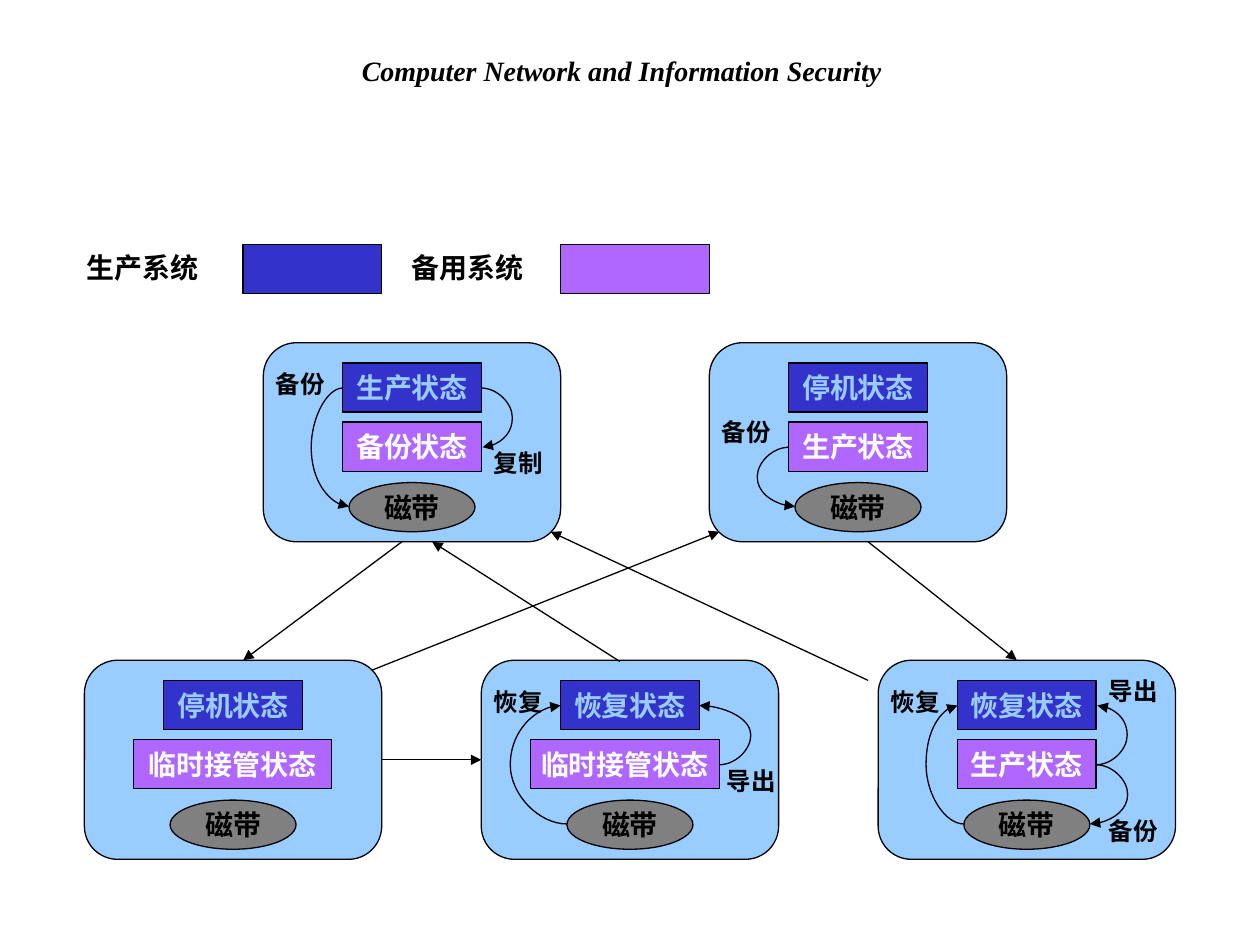
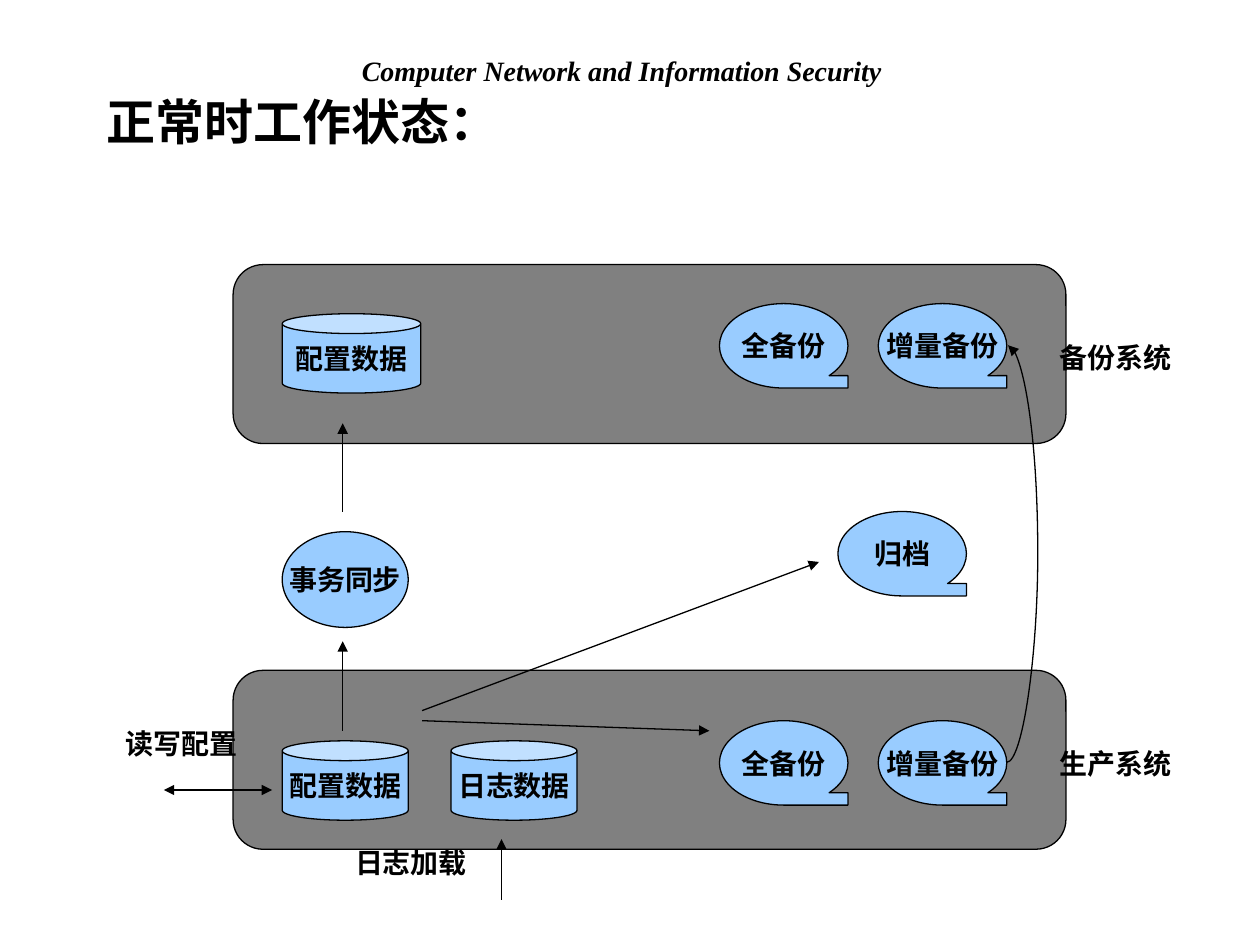
from dataclasses import dataclass
from typing import NamedTuple, Optional

import lxml.etree
import pptx
import pptx.dml.color
import pptx.enum.shapes
import pptx.enum.text
import pptx.oxml.ns
import pptx.shapes.autoshape
import pptx.shapes.connector
import pptx.slide
import pptx.util

Inches = pptx.util.Inches
RGBColor = pptx.dml.color.RGBColor
SHAPE = pptx.enum.shapes.MSO_SHAPE
CONNECTOR = pptx.enum.shapes.MSO_CONNECTOR
ALIGN = pptx.enum.text.PP_ALIGN
qn = pptx.oxml.ns.qn

BLACK = RGBColor(0x00, 0x00, 0x00)
WHITE = RGBColor(0xFF, 0xFF, 0xFF)
SKY = RGBColor(0x99, 0xCC, 0xFF)
NAVY = RGBColor(0x33, 0x33, 0xCC)
VIOLET = RGBColor(0xAF, 0x67, 0xFF)
GRAY = RGBColor(0x80, 0x80, 0x80)

BODY_FONT = "Arial"
HEADER_FONT = "Times New Roman"
HEADER = "Computer Network and Information Security"
LINE_WIDTH = pptx.util.Pt(0.75)


class Point(NamedTuple):
    x: float
    y: float


class Box(NamedTuple):
    left: float
    top: float
    width: float
    height: float


class Label(NamedTuple):
    text: str
    left: float
    top: float


class Arrow(NamedTuple):
    start: Point
    end: Point
    both_ends: bool = False


class Curve(NamedTuple):
    """An arrow that bows out to the vertical line x = bend."""
    start: Point
    end: Point
    bend: float


class Node(NamedTuple):
    kind: SHAPE
    box: Box
    text: str = ""
    fill: RGBColor = SKY
    color: RGBColor = BLACK


@dataclass(frozen=True)
class StateCard:
    """One combined system state; curves and labels are relative to its corner."""
    left: float
    top: float
    production: str
    standby: str
    standby_left: float = 0.63
    standby_width: float = 1.1
    curves: tuple[Curve, ...] = ()
    labels: tuple[Label, ...] = ()


CARD_WIDTH, CARD_HEIGHT = 2.36, 1.58
NODE_HEIGHT = 0.39
UPPER_ROW, LOWER_ROW = 2.72, 5.24

# Ports on the sides of the three nodes inside a card
PRODUCTION_LEFT, PRODUCTION_RIGHT = Point(0.63, 0.36), Point(1.73, 0.36)
STANDBY_LEFT, STANDBY_RIGHT = Point(0.63, 0.83), Point(1.73, 0.83)
WIDE_STANDBY_RIGHT = Point(1.89, 0.83)
TAPE_LEFT, TAPE_RIGHT = Point(0.68, 1.3), Point(1.68, 1.3)

CARDS = (
    StateCard(2.09, UPPER_ROW, "生产状态", "备份状态",
              curves=(Curve(PRODUCTION_RIGHT, STANDBY_RIGHT, 1.98),
                      Curve(PRODUCTION_LEFT, TAPE_LEFT, 0.38)),
              labels=(Label("复制", 1.73, 0.79), Label("备份", 0, 0.16))),
    StateCard(5.63, UPPER_ROW, "停机状态", "生产状态",
              curves=(Curve(STANDBY_LEFT, TAPE_LEFT, 0.38),),
              labels=(Label("备份", 0, 0.54),)),
    StateCard(0.67, LOWER_ROW, "停机状态", "临时接管状态",
              standby_left=0.39, standby_width=1.57),
    StateCard(3.82, LOWER_ROW, "恢复状态", "临时接管状态",
              standby_left=0.39, standby_width=1.5,
              curves=(Curve(WIDE_STANDBY_RIGHT, PRODUCTION_RIGHT, 2.14),
                      Curve(TAPE_LEFT, PRODUCTION_LEFT, 0.23)),
              labels=(Label("导出", 1.85, 0.79), Label("恢复", 0, 0.16))),
    StateCard(6.97, LOWER_ROW, "恢复状态", "生产状态",
              curves=(Curve(STANDBY_RIGHT, PRODUCTION_RIGHT, 1.98),
                      Curve(TAPE_LEFT, PRODUCTION_LEFT, 0.38),
                      Curve(STANDBY_RIGHT, TAPE_RIGHT, 1.98)),
              labels=(Label("导出", 1.73, 0.08), Label("恢复", 0, 0.16),
                      Label("备份", 1.73, 1.19))),
)

TRANSITIONS = (
    Arrow(Point(3.19, 4.3), Point(1.93, 5.24)),
    Arrow(Point(3.03, 6.03), Point(3.82, 6.03)),
    Arrow(Point(2.95, 5.32), Point(5.71, 4.22)),
    Arrow(Point(6.89, 4.3), Point(8.07, 5.24)),
    Arrow(Point(4.92, 5.25), Point(3.43, 4.3)),
    Arrow(Point(6.89, 5.4), Point(4.37, 4.22)),
)

LEGEND_TOP = 1.94
LEGEND_SWATCHES = (
    Node(SHAPE.RECTANGLE, Box(1.93, LEGEND_TOP, 1.1, NODE_HEIGHT), fill=NAVY),
    Node(SHAPE.RECTANGLE, Box(4.45, LEGEND_TOP, 1.18, NODE_HEIGHT), fill=VIOLET),
)
LEGEND_LABELS = (Label("生产系统", 0.59, LEGEND_TOP),
                 Label("备用系统", 3.17, LEGEND_TOP))


def tape_node(text: str, left: float, top: float) -> Node:
    return Node(SHAPE.FLOWCHART_SEQUENTIAL_ACCESS_STORAGE,
                Box(left, top, 1.02, 0.67), text)


BACKUP_TOP, PRODUCTION_TOP = 2.1, 5.32
SYSTEM_NODES = (
    *(Node(SHAPE.ROUNDED_RECTANGLE, Box(1.85, top, 6.61, 1.42), fill=GRAY)
      for top in (BACKUP_TOP, PRODUCTION_TOP)),
    Node(SHAPE.CAN, Box(2.24, 5.88, 1, 0.63), "配置数据"),
    Node(SHAPE.CAN, Box(3.58, 5.88, 1, 0.63), "日志数据"),
    Node(SHAPE.CAN, Box(2.24, 2.49, 1.1, 0.63), "配置数据"),
    Node(SHAPE.OVAL, Box(2.24, 4.22, 1, 0.76), "事务同步"),
    tape_node("归档", 6.65, 4.06),
    *(tape_node(text, left, top)
      for top in (2.41, 5.72)
      for text, left in (("全备份", 5.71), ("增量备份", 6.97))),
)

DATA_FLOWS = (
    Arrow(Point(1.3, 6.27), Point(2.16, 6.27), both_ends=True),
    Arrow(Point(2.72, 5.8), Point(2.72, 5.09)),
    Arrow(Point(2.72, 4.06), Point(2.72, 3.36)),
    Arrow(Point(3.98, 7.14), Point(3.98, 6.66)),
    Arrow(Point(3.35, 5.64), Point(6.5, 4.46)),
    Arrow(Point(3.35, 5.72), Point(5.63, 5.8)),
)
INCREMENTAL_COPY = Curve(Point(7.99, 6.05), Point(7.99, 2.74), 8.24)

SYSTEM_LABELS = (
    Label("读写配置", 0.9, 5.72),
    Label("日志加载", 2.72, 6.66),
    Label("生产系统", 8.31, 5.88),
    Label("备份系统", 8.31, 2.65),
)


def write_text(tf: pptx.text.text.TextFrame, text: str, *, size: float = 16,
               color: RGBColor = BLACK, font: str = BODY_FONT,
               italic: bool = False, align: ALIGN = ALIGN.LEFT) -> None:
    tf.word_wrap = False
    p = tf.paragraphs[0]
    p.alignment = align
    r = p.add_run()
    r.text = text
    r.font.name = font
    r.font.size = pptx.util.Pt(size)
    r.font.bold = True
    r.font.italic = italic
    r.font.color.rgb = color


def add_text(slide: pptx.slide.Slide, text: str, box: Box, **text_format) -> None:
    sp = slide.shapes.add_textbox(*map(Inches, box))
    write_text(sp.text_frame, text, **text_format)
    sp.text_frame.auto_size = pptx.enum.text.MSO_AUTO_SIZE.SHAPE_TO_FIT_TEXT


def add_label(slide: pptx.slide.Slide, label: Label) -> None:
    add_text(slide, label.text, Box(label.left, label.top, 1.2, 0.4))


def add_node(slide: pptx.slide.Slide, node: Node) -> None:
    sp = slide.shapes.add_shape(node.kind, *map(Inches, node.box))
    sp.shadow.inherit = False
    sp.fill.solid()
    sp.fill.fore_color.rgb = node.fill
    sp.line.color.rgb = BLACK
    sp.line.width = LINE_WIDTH
    if node.text:
        sp.text_frame.vertical_anchor = pptx.enum.text.MSO_ANCHOR.MIDDLE
        write_text(sp.text_frame, node.text, color=node.color, align=ALIGN.CENTER)


def add_connector(slide: pptx.slide.Slide, kind: CONNECTOR, start: Point, end: Point,
                  both_ends: bool = False) -> pptx.shapes.connector.Connector:
    cxn = slide.shapes.add_connector(kind, *map(Inches, (*start, *end)))
    cxn.line.color.rgb = BLACK
    cxn.line.width = LINE_WIDTH
    ln = cxn.line._get_or_add_ln()
    for tag in ("a:headEnd", "a:tailEnd") if both_ends else ("a:tailEnd",):
        lxml.etree.SubElement(ln, qn(tag), type="triangle")
    lxml.etree.SubElement(cxn._element.spPr, qn("a:effectLst"))
    return cxn


def add_arrow(slide: pptx.slide.Slide, arrow: Arrow) -> None:
    add_connector(slide, CONNECTOR.STRAIGHT, *arrow)


def add_curve(slide: pptx.slide.Slide, curve: Curve,
              origin: Optional[Point] = None) -> None:
    """Draw a curve; its bend is stored as a share of the width, so that is never 0."""
    dx, dy = origin or Point(0, 0)
    start, end, bend = curve
    end_x = end.x if end.x != start.x else end.x + 0.01
    cxn = add_connector(slide, CONNECTOR.CURVE, Point(start.x + dx, start.y + dy),
                        Point(end_x + dx, end.y + dy))
    share = round((bend - start.x) / (end_x - start.x) * 100000)
    geom = cxn._element.spPr.find(qn("a:prstGeom"))
    guides = geom.find(qn("a:avLst"))
    if guides is None:
        guides = lxml.etree.SubElement(geom, qn("a:avLst"))
    lxml.etree.SubElement(guides, qn("a:gd"), name="adj1", fmla=f"val {share}")


def add_card(slide: pptx.slide.Slide, card: StateCard) -> None:
    x, y = card.left, card.top
    for node in (
        Node(SHAPE.ROUNDED_RECTANGLE, Box(x, y, CARD_WIDTH, CARD_HEIGHT)),
        Node(SHAPE.RECTANGLE, Box(x + 0.63, y + 0.16, 1.1, NODE_HEIGHT),
             card.production, NAVY, SKY),
        Node(SHAPE.RECTANGLE,
             Box(x + card.standby_left, y + 0.63, card.standby_width, NODE_HEIGHT),
             card.standby, VIOLET, WHITE),
        Node(SHAPE.OVAL, Box(x + 0.68, y + 1.11, 1, NODE_HEIGHT), "磁带", GRAY),
    ):
        add_node(slide, node)
    for curve in card.curves:
        add_curve(slide, curve, Point(x, y))
    for label in card.labels:
        add_text(slide, label.text, Box(x + label.left, y + label.top, 0.59, 0.33),
                 size=14)


def new_slide(prs: pptx.presentation.Presentation) -> pptx.slide.Slide:
    """Add a blank slide with the shared running header."""
    slide = prs.slides.add_slide(prs.slide_layouts[6])
    add_text(slide, HEADER, Box(1.63, 0.38, 6.61, 0.37), font=HEADER_FONT,
             italic=True, align=ALIGN.CENTER)
    return slide


def build_state_slide(prs: pptx.presentation.Presentation) -> None:
    slide = new_slide(prs)
    for card in CARDS:
        add_card(slide, card)
    for arrow in TRANSITIONS:
        add_arrow(slide, arrow)
    for swatch in LEGEND_SWATCHES:
        add_node(slide, swatch)
    for label in LEGEND_LABELS:
        add_label(slide, label)


def build_normal_operation_slide(prs: pptx.presentation.Presentation) -> None:
    slide = new_slide(prs)
    for node in SYSTEM_NODES:
        add_node(slide, node)
    for arrow in DATA_FLOWS:
        add_arrow(slide, arrow)
    add_curve(slide, INCREMENTAL_COPY)
    for label in SYSTEM_LABELS:
        add_label(slide, label)
    add_text(slide, "正常时工作状态：", Box(0.75, 0.68, 3.31, 0.57), size=28)


def main() -> None:
    prs = pptx.Presentation()
    prs.slide_width, prs.slide_height = Inches(10), Inches(7.5)
    build_state_slide(prs)
    build_normal_operation_slide(prs)
    prs.save("out.pptx")


if __name__ == "__main__":
    main()
